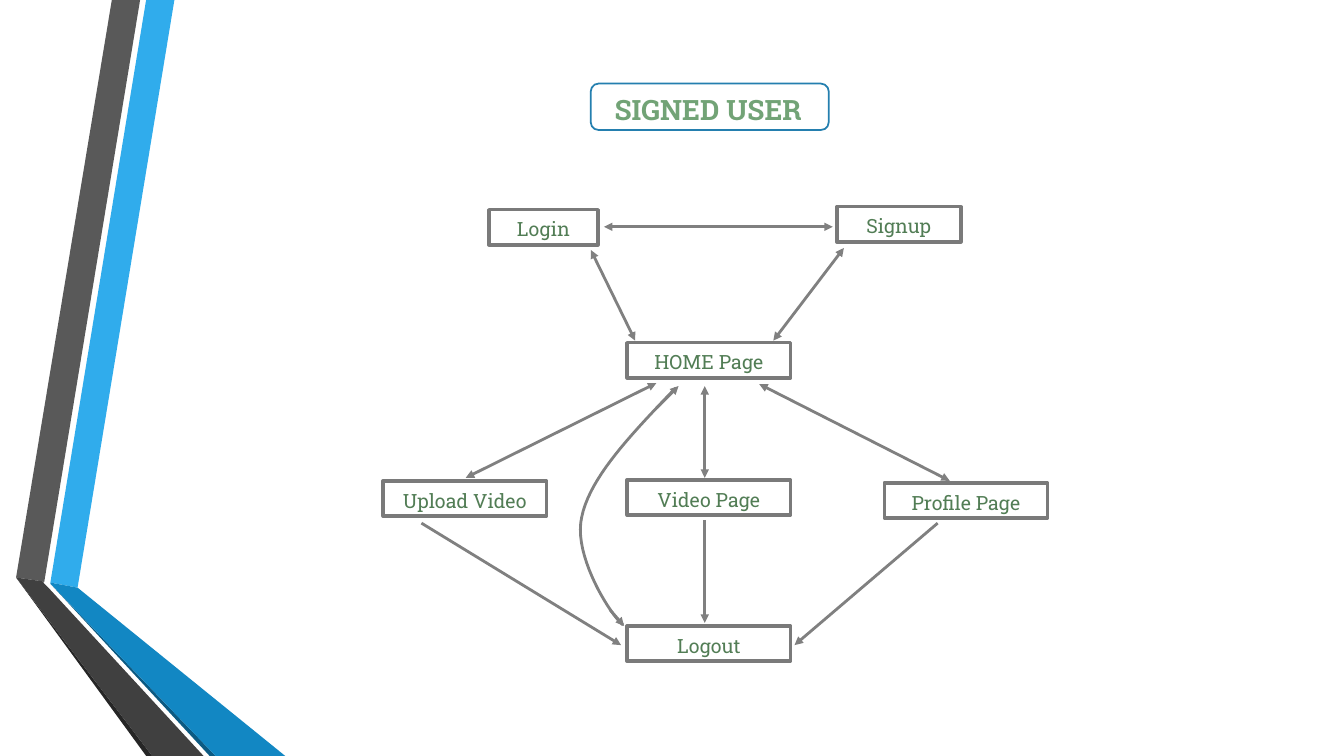
"""Build the signed-user page flow slide."""
from lxml import etree
from pptx import Presentation
from pptx.dml.color import RGBColor
from pptx.enum.shapes import MSO_CONNECTOR, MSO_SHAPE
from pptx.enum.text import MSO_ANCHOR, MSO_AUTO_SIZE, PP_ALIGN
from pptx.oxml.ns import qn
from pptx.util import Inches, Pt

STRAIGHT = MSO_CONNECTOR.STRAIGHT
RECTANGLE, ROUNDED = MSO_SHAPE.RECTANGLE, MSO_SHAPE.ROUNDED_RECTANGLE
MIDDLE, CENTER, NO_FIT = MSO_ANCHOR.MIDDLE, PP_ALIGN.CENTER, MSO_AUTO_SIZE.NONE

FONT = "Roboto Slab"
COLORS = {
    "white": "FFFFFF", "title": "72A376", "label": "527D55", "frame": "247FAF",
    "border": "7A7A7A", "arrow": "808080", "sky": "30ACEC", "blue": "1287C3",
    "navy": "0C5A82", "gray": "595959", "dark": "404040", "black": "262626",
}

TITLE = ("SIGNED USER", (5.91, 0.86, 2.23, 0.4))
TITLE_FRAME = (5.86, 0.83, 2.36, 0.46)

RIBBONS = [
    ("sky", [(0.5, 5.78), (0.77, 5.83), (1.73, 0), (1.45, 0)]),
    ("gray", [(1.39, 0), (1.11, 0), (0.16, 5.73), (0.44, 5.77)]),
    ("black", [(0.16, 5.73), (1.45, 7.5), (1.51, 7.5)]),
    ("navy", [(0.5, 5.79), (2.08, 7.5), (2.14, 7.5)]),
    ("blue", [(0.5, 5.79), (2.14, 7.5), (2.83, 7.5), (0.77, 5.83), (0.5, 5.78)]),
    ("dark", [(2.02, 7.5), (0.48, 5.83), (0.43, 5.78), (0.44, 5.77),
              (0.16, 5.73), (1.51, 7.5)]),
]

BOX_HEIGHT, PAGE_WIDTH, CENTER_LEFT = 0.35, 1.62, 6.22
PAGES = [
    ("Login", 4.85, 2.08, 1.08),
    ("Signup", 8.3, 2.05, 1.23),
    ("HOME Page", CENTER_LEFT, 3.4, PAGE_WIDTH),
    ("Video Page", CENTER_LEFT, 4.76, PAGE_WIDTH),
    ("Profile Page", 8.77, 4.79, PAGE_WIDTH),
    ("Upload Video", 3.8, 4.77, PAGE_WIDTH),
    ("Logout", CENTER_LEFT, 6.21, PAGE_WIDTH),
]

TWO_WAY = [
    ((5.99, 2.25), (8.26, 2.25)),
    ((4.62, 4.74), (6.51, 3.8)),
    ((6.99, 3.83), (6.99, 4.74)),
    ((7.53, 3.81), (9.42, 4.77)),
    ((5.86, 2.48), (6.3, 3.38)),
    ((8.37, 2.46), (7.67, 3.38)),
]
ONE_WAY = [
    ((6.51, 4.05), (6.73, 3.83)),
    ((6.05, 6.05), (6.19, 6.21)),
    ((4.18, 5.19), (6.16, 6.4)),
    ((6.99, 5.16), (6.99, 6.18)),
    ((9.3, 5.19), (7.88, 6.4)),
]
HOME_TO_LOGOUT = [
    ((6.7, 3.85), (6.28, 4.29), (5.85, 4.73), (5.77, 5.13)),
    ((5.77, 5.13), (5.68, 5.52), (6.07, 6.12), (6.18, 6.2)),
]
CURVE_STEPS = 20


def rgb(name):
    return RGBColor.from_string(COLORS[name])


def paint(shape, fill=None, line=None, width=0):
    if fill:
        shape.fill.solid()
        shape.fill.fore_color.rgb = rgb(fill)
    else:
        shape.fill.background()
    if line:
        shape.line.color.rgb = rgb(line)
        shape.line.width = Pt(width)
    else:
        shape.line.fill.background()


def write(shape, text, size, color, bold=False):
    frame = shape.text_frame
    frame.text = text
    frame.word_wrap = True
    frame.auto_size = NO_FIT
    frame.vertical_anchor = MIDDLE
    para = frame.paragraphs[0]
    para.alignment = CENTER
    para.line_spacing = 1.15
    para.space_after = Pt(10)
    para.font.name = FONT
    para.font.size = Pt(size)
    para.font.bold = bold
    para.font.color.rgb = rgb(color)


def add_box(page, kind, bounds):
    box = page.shapes.add_shape(kind, *map(Inches, bounds))
    box.shadow.inherit = False
    return box


def add_outline(page, points, close):
    corners = [(Inches(x), Inches(y)) for x, y in points]
    builder = page.shapes.build_freeform(*corners[0])
    builder.add_line_segments(corners[1:], close=close)
    outline = builder.convert_to_shape()
    outline.shadow.inherit = False
    return outline


def add_arrow(page, start, end, ends):
    arrow = page.shapes.add_connector(STRAIGHT, *map(Inches, start + end))
    arrow.line.color.rgb = rgb("arrow")
    arrow.line.width = Pt(2)
    line = arrow._element.spPr.find(qn("a:ln"))
    for tag in ends:
        etree.SubElement(line, qn(tag), type="triangle")
    etree.SubElement(arrow._element.spPr, qn("a:effectLst"))


def bezier(knots, share):
    rest = 1 - share
    weights = (rest ** 3, 3 * rest ** 2 * share, 3 * rest * share ** 2, share ** 3)
    return tuple(sum(w * value for w, value in zip(weights, axis))
                 for axis in zip(*knots))


deck = Presentation()
deck.slide_width, deck.slide_height = Inches(13.33), Inches(7.5)
page = deck.slides.add_slide(deck.slide_layouts[5])

title = page.shapes.title
title_text, title_bounds = TITLE
title.left, title.top, title.width, title.height = map(Inches, title_bounds)
paint(title, "white")
write(title, title_text, 20, "title", bold=True)
paint(add_box(page, ROUNDED, TITLE_FRAME), line="frame", width=1.25)

for color, points in RIBBONS:
    paint(add_outline(page, points, True), color)

for name, left, top, width in PAGES:
    box = add_box(page, RECTANGLE, (left, top, width, BOX_HEIGHT))
    paint(box, "white", "border", 2.5)
    write(box, name, 14, "label")

curve = [HOME_TO_LOGOUT[0][0]] + [
    bezier(knots, step / CURVE_STEPS)
    for knots in HOME_TO_LOGOUT for step in range(1, CURVE_STEPS + 1)]
paint(add_outline(page, curve, False), line="arrow", width=2)

for arrows, ends in ((TWO_WAY, ("a:headEnd", "a:tailEnd")), (ONE_WAY, ("a:tailEnd",))):
    for start, end in arrows:
        add_arrow(page, start, end, ends)

deck.save("out.pptx")
